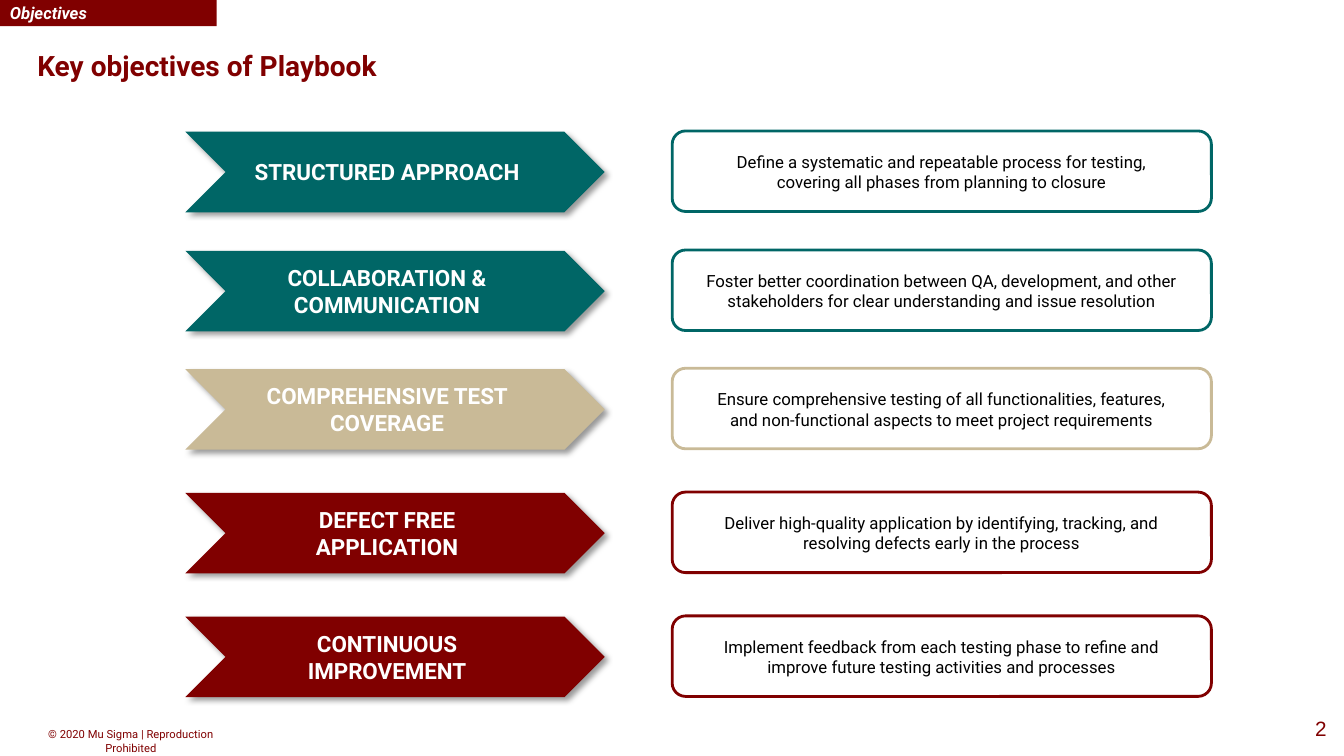
import pptx
import pptx.util
import pptx.dml.color
import pptx.enum.shapes
import pptx.enum.text
import lxml.etree

Cm = pptx.util.Cm
Pt = pptx.util.Pt
Kind = pptx.enum.shapes.MSO_SHAPE
Align = pptx.enum.text.PP_ALIGN
Anchor = pptx.enum.text.MSO_ANCHOR

TEAL, SAND, RED = "006666", "C9BA97", "800000"
WHITE, BLACK = "FFFFFF", "000000"
HEIGHT = 2.03
ROWS = [
    (3.32, TEAL, "STRUCTURED APPROACH",
     "Define a systematic and repeatable process for testing, covering all phases from planning to closure"),
    (6.32, TEAL, "COLLABORATION & COMMUNICATION",
     "Foster better coordination between QA, development, and other stakeholders "
     "for clear understanding and issue resolution"),
    (9.3, SAND, "COMPREHENSIVE TEST COVERAGE",
     "Ensure comprehensive testing of all functionalities, features, "
     "and non-functional aspects to meet project requirements"),
    (12.42, RED, "DEFECT FREE APPLICATION",
     "Deliver high-quality application by identifying, tracking, and resolving defects early in the process"),
    (15.54, RED, "CONTINUOUS IMPROVEMENT",
     "Implement feedback from each testing phase to refine and improve future testing activities and processes"),
]


def paint(target, color):
    if hasattr(target, "solid"):
        target.solid()
        target = target.fore_color
    target.rgb = pptx.dml.color.RGBColor.from_string(color)


def write(shape, text, size, color, bold=False, italic=False, face="Roboto",
          align=Align.CENTER, anchor=Anchor.MIDDLE):
    frame = shape.text_frame
    frame.text = text
    frame.word_wrap = True
    frame.vertical_anchor = anchor
    line = frame.paragraphs[0]
    line.alignment = align
    font = line.runs[0].font
    font.name, font.size, font.bold, font.italic = face, Pt(size), bold, italic
    paint(font.color, color)
    return shape


def add_text(slide, left, top, width, height, text, size, color, **style):
    box = slide.shapes.add_textbox(Cm(left), Cm(top), Cm(width), Cm(height))
    return write(box, text, size, color, **style)


def add_shape(slide, kind, left, top, width, height, fill, line=None):
    shape = slide.shapes.add_shape(kind, Cm(left), Cm(top), Cm(width), Cm(height))
    shape.shadow.inherit = False
    paint(shape.fill, fill)
    if line:
        paint(shape.line.fill, line)
        shape.line.width = Pt(2)
    else:
        shape.line.fill.background()
    return shape


def add_shadow(shape):
    space = "{http://schemas.openxmlformats.org/drawingml/2006/main}"
    effects = shape.element.spPr.find(space + "effectLst")
    outer = lxml.etree.SubElement(
        effects, space + "outerShdw", blurRad=str(Pt(4)), dist=str(Pt(3)),
        dir="2700000", algn="tl", rotWithShape="0")
    color = lxml.etree.SubElement(outer, space + "srgbClr", val=BLACK)
    lxml.etree.SubElement(color, space + "alpha", val="40000")


def add_row(slide, top, color, label, detail):
    arrow = add_shape(slide, Kind.CHEVRON, 4.67, top, 10.57, HEIGHT, color)
    add_shadow(arrow)
    add_shape(slide, Kind.ROUNDED_RECTANGLE, 16.94, top - 0.02, 13.59, HEIGHT, WHITE, color)
    add_text(slide, 17.48, top, 12.5, HEIGHT, detail, 12, BLACK)
    add_text(slide, 6.07, top, 7.37, HEIGHT, label, 16, WHITE, bold=True)


def main():
    deck = pptx.Presentation()
    deck.slide_width, deck.slide_height = Cm(33.87), Cm(19.05)
    slide = deck.slides.add_slide(deck.slide_layouts[6])

    tab = add_shape(slide, Kind.RECTANGLE, 0, 0, 5.46, 0.66, RED)
    write(tab, "Objectives", 12, WHITE, bold=True, italic=True, align=Align.LEFT)
    title = add_text(slide, 0.69, 1.19, 30.73, 1.35, "Key objectives of Playbook", 20, RED,
                     bold=True, align=Align.LEFT, anchor=Anchor.TOP)
    title.text_frame.paragraphs[0].line_spacing = 0.9

    for row in ROWS:
        add_row(slide, *row)

    add_text(slide, 0.76, 18.21, 5.08, 0.61, "© 2020 Mu Sigma | Reproduction Prohibited",
             8, RED, anchor=Anchor.TOP)
    page = add_text(slide, 32.51, 18.03, 0.92, 0.64, "2", 14.8, RED, face="Arial",
                    align=Align.RIGHT, anchor=Anchor.TOP)
    frame = page.text_frame
    frame.margin_left = frame.margin_right = frame.margin_top = frame.margin_bottom = 0
    deck.save("out.pptx")


if __name__ == "__main__":
    main()
